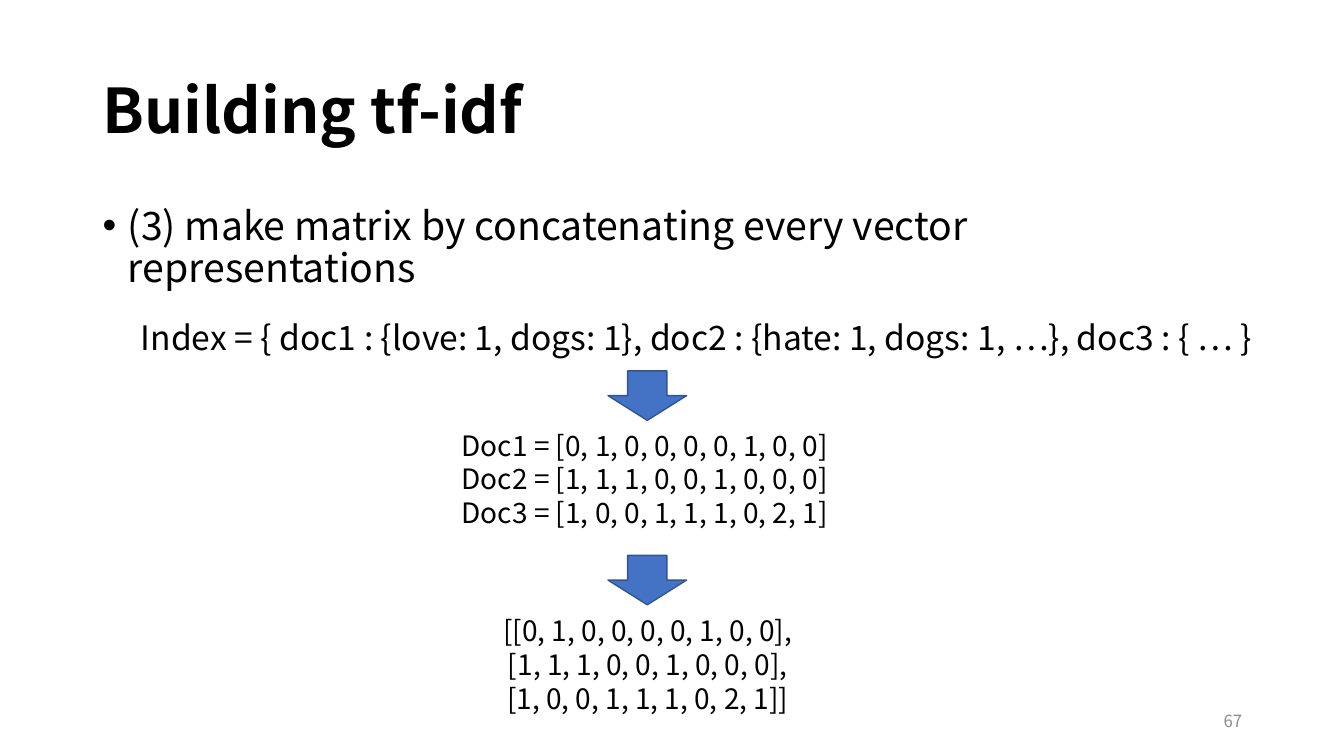
from pptx import Presentation
from pptx.dml.color import RGBColor
from pptx.enum.shapes import MSO_SHAPE
from pptx.enum.text import MSO_ANCHOR, MSO_AUTO_SIZE, PP_ALIGN
from pptx.util import Pt
from lxml import etree

DOWN_ARROW = MSO_SHAPE.DOWN_ARROW
TOP, MIDDLE = MSO_ANCHOR.TOP, MSO_ANCHOR.MIDDLE
LEFT, CENTER, RIGHT = PP_ALIGN.LEFT, PP_ALIGN.CENTER, PP_ALIGN.RIGHT
FIT_SHAPE = MSO_AUTO_SIZE.SHAPE_TO_FIT_TEXT

FONT = "Noto Sans CJK KR"
BLACK, GRAY, BLUE, DARK_BLUE = "000000", "8C8C8C", "4472C4", "325491"
PX = 9144
SLIDE_SIZE = (1333, 750)

VECTORS = [
    [0, 1, 0, 0, 0, 0, 1, 0, 0],
    [1, 1, 1, 0, 0, 1, 0, 0, 0],
    [1, 0, 0, 1, 1, 1, 0, 2, 1],
]
TITLE = "Building tf-idf"
STEP = "(3) make matrix by concatenating every vector representations"
INDEX = "Index = { doc1 : {love: 1, dogs: 1}, doc2 : {hate: 1, dogs: 1, …}, doc3 : { … }"
DOCUMENTS = [f"Doc{number} = {vector}" for number, vector in enumerate(VECTORS, 1)]
MATRIX = str(VECTORS).replace("], ", "],\n").split("\n")
PAGE_NUMBER = "67"

TEXTS = [
    ([TITLE], (92, 40, 1150, 145), 44, BLACK, LEFT, MIDDLE, True, {"bold": True}, {"line_spacing": 0.9}),
    ([PAGE_NUMBER], (942, 695, 300, 40), 12, GRAY, RIGHT, MIDDLE, True, {}, {}),
    ([STEP], (92, 200, 1116, 253), 28, BLACK, LEFT, TOP, True, {},
     {"line_spacing": 0.9, "space_before": Pt(10)}),
    ([INDEX], (113, 309, 1155, 50), 24, BLACK, CENTER, TOP, False, {}, {}),
    (DOCUMENTS, (435, 420, 409, 111), 20, BLACK, CENTER, TOP, False, {}, {}),
    (MATRIX, (483, 604, 319, 111), 20, BLACK, CENTER, TOP, False, {}, {}),
]
ARROW_LEFT, ARROW_TOPS, ARROW_SIZE = 603, (368, 551), (78, 49)
BULLET_INDENT = 25


def color(value):
    return RGBColor.from_string(value)


def scale(lengths):
    return [length * PX for length in lengths]


def set_values(target, values):
    for name, value in values.items():
        setattr(target, name, value)


def add_text(slide, lines, box, size, ink, align, anchor, wrap, font_format, paragraph_format):
    frame = slide.shapes.add_textbox(*scale(box)).text_frame
    set_values(frame, {"word_wrap": wrap, "vertical_anchor": anchor})
    if not wrap:
        frame.auto_size = FIT_SHAPE
    frame.text = "\n".join(lines)
    for paragraph in frame.paragraphs:
        set_values(paragraph, {"alignment": align, **paragraph_format})
        font = paragraph.runs[0].font
        set_values(font, {"name": FONT, "size": Pt(size), **font_format})
        font.color.rgb = color(ink)
        properties = paragraph.runs[0].font._element
        east_asian = etree.SubElement(properties, properties.find("{*}latin").tag.replace("latin", "ea"))
        east_asian.set("typeface", FONT)
    return frame


def add_bullet(paragraph):
    properties = paragraph._p.get_or_add_pPr()
    properties.set("marL", str(BULLET_INDENT * PX))
    properties.set("indent", str(-BULLET_INDENT * PX))
    namespace = properties.nsmap["a"]
    for tag, name, value in (("buFont", "typeface", "Arial"), ("buChar", "char", "•")):
        etree.SubElement(properties, f"{{{namespace}}}{tag}").set(name, value)


def add_arrow(slide, top):
    arrow = slide.shapes.add_shape(DOWN_ARROW, *scale((ARROW_LEFT, top, *ARROW_SIZE)))
    arrow.shadow.inherit = False
    arrow.fill.solid()
    arrow.fill.fore_color.rgb = color(BLUE)
    arrow.line.color.rgb = color(DARK_BLUE)
    arrow.line.width = Pt(1)


def main():
    presentation = Presentation()
    presentation.slide_width, presentation.slide_height = scale(SLIDE_SIZE)
    slide = presentation.slides.add_slide(presentation.slide_layouts[6])
    for lines, *layout in TEXTS:
        frame = add_text(slide, lines, *layout)
        if lines == [STEP]:
            add_bullet(frame.paragraphs[0])
    for top in ARROW_TOPS:
        add_arrow(slide, top)
    presentation.save("out.pptx")


if __name__ == "__main__":
    main()
